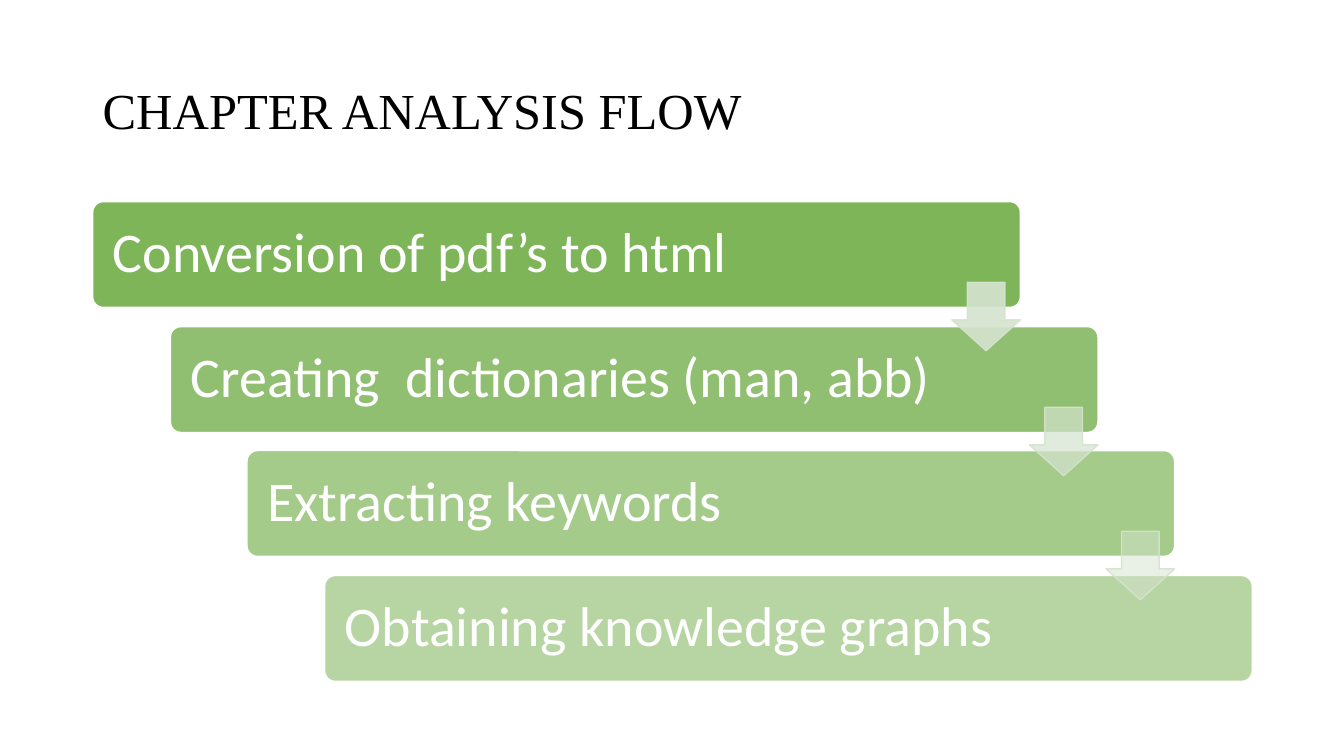
"""Build the chapter analysis flow slide: four staggered steps joined by arrows."""
from dataclasses import dataclass

from lxml import etree
from pptx import Presentation
from pptx.dml.color import RGBColor
from pptx.enum.shapes import MSO_SHAPE
from pptx.enum.text import MSO_ANCHOR, PP_ALIGN
from pptx.oxml.ns import qn
from pptx.util import Emu, Pt

ROUNDED = MSO_SHAPE.ROUNDED_RECTANGLE
DOWN_ARROW = MSO_SHAPE.DOWN_ARROW
MIDDLE = MSO_ANCHOR.MIDDLE
LEFT = PP_ALIGN.LEFT

EMU_PER_PX = 9144
SLIDE_WIDTH, SLIDE_HEIGHT = 1333, 750
BLACK = RGBColor(0x00, 0x00, 0x00)
WHITE = RGBColor(0xFF, 0xFF, 0xFF)
GREEN = RGBColor(0x70, 0xAD, 0x47)
PALE_GREEN = RGBColor(0xD5, 0xE3, 0xCF)

TITLE = "CHAPTER ANALYSIS FLOW"
STEPS = (
    "Conversion of pdf’s to html",
    "Creating  dictionaries (man, abb)",
    "Extracting keywords",
    "Obtaining knowledge graphs",
)
FIRST_LEFT, LAST_LEFT = 92, 322
FIRST_TOP, LAST_TOP = 200, 571
FIRST_OPACITY, LAST_OPACITY = 90, 50
STEP_WIDTH, STEP_HEIGHT = 920, 105
ARROW_SIZE, ARROW_DROP = 68, 80
ARROW_LINE_OPACITY = 90
STEP_INSET, TITLE_INSET = 17, 10


@dataclass(frozen=True)
class Box:
    """Place of an element in px."""

    left: int
    top: int
    width: int
    height: int

    def emu(self) -> list[Emu]:
        """Return left, top, width and height in EMU."""
        return [px(value) for value in (self.left, self.top, self.width, self.height)]


@dataclass(frozen=True)
class Look:
    """Outline, adjustments and colours of a preset shape."""

    preset: MSO_SHAPE
    adjustments: tuple[float, ...]
    fill: RGBColor
    line: RGBColor
    line_opacity: int = 100


STEP_LOOK = Look(ROUNDED, (0.1,), GREEN, WHITE)
ARROW_LOOK = Look(DOWN_ARROW, (0.55, 0.45), PALE_GREEN, PALE_GREEN, ARROW_LINE_OPACITY)
TITLE_FORMAT = {"name": "Times New Roman", "size": Pt(36)}
STEP_FORMAT = {"name": "Calibri", "size": Pt(40)}


def px(value: int) -> Emu:
    """Turn px into EMU."""
    return Emu(value * EMU_PER_PX)


def between(first: int, last: int, index: int, count: int) -> int:
    """Return the evenly spaced value at an index."""
    return round(first + (last - first) * index / (count - 1))


def set_opacity(owner, percent: int) -> None:
    """Set the opacity of each solid fill directly under an element."""
    for color in owner.findall(f"{qn('a:solidFill')}/{qn('a:srgbClr')}"):
        etree.SubElement(color, qn("a:alpha"), val=str(percent * 1000))


def add_preset(page, box: Box, look: Look, opacity: int):
    """Draw a translucent preset shape."""
    shape = page.shapes.add_shape(look.preset, *box.emu())
    shape.shadow.inherit = False
    for index, value in enumerate(look.adjustments):
        shape.adjustments[index] = value
    shape.fill.solid()
    shape.fill.fore_color.rgb = look.fill
    shape.line.color.rgb = look.line
    shape.line.width = Pt(1)
    properties = shape.fill._xPr
    set_opacity(properties, opacity)
    set_opacity(properties.find(qn("a:ln")), look.line_opacity)
    return shape


def write(shape, text: str, inset: int, color: RGBColor, formats: dict) -> None:
    """Write one left-aligned, vertically centred line."""
    frame = shape.text_frame
    frame.word_wrap = True
    frame.vertical_anchor = MIDDLE
    for side in ("left", "top", "right", "bottom"):
        setattr(frame, f"margin_{side}", px(inset))
    para = frame.paragraphs[0]
    para.alignment = LEFT
    para.line_spacing = 0.9
    span = para.add_run()
    span.text = text
    span.font.color.rgb = color
    for name, value in formats.items():
        setattr(span.font, name, value)


def main() -> None:
    """Build and save the deck."""
    deck = Presentation()
    deck.slide_width, deck.slide_height = px(SLIDE_WIDTH), px(SLIDE_HEIGHT)
    page = deck.slides.add_slide(deck.slide_layouts[6])
    title = page.shapes.add_textbox(*Box(92, 40, 1150, 145).emu())
    write(title, TITLE, TITLE_INSET, BLACK, TITLE_FORMAT)

    count = len(STEPS)
    boxes = [
        Box(
            between(FIRST_LEFT, LAST_LEFT, index, count),
            between(FIRST_TOP, LAST_TOP, index, count),
            STEP_WIDTH,
            STEP_HEIGHT,
        )
        for index in range(count)
    ]
    for index, (text, box) in enumerate(zip(STEPS, boxes)):
        opacity = between(FIRST_OPACITY, LAST_OPACITY, index, count)
        step = add_preset(page, box, STEP_LOOK, opacity)
        write(step, text, STEP_INSET, WHITE, STEP_FORMAT)

    for index, box in enumerate(boxes[:-1]):
        left = box.left + STEP_WIDTH - ARROW_SIZE
        place = Box(left, box.top + ARROW_DROP, ARROW_SIZE, ARROW_SIZE)
        opacity = between(FIRST_OPACITY, LAST_OPACITY, index, count - 1)
        add_preset(page, place, ARROW_LOOK, opacity)

    deck.save("out.pptx")


if __name__ == "__main__":
    main()
